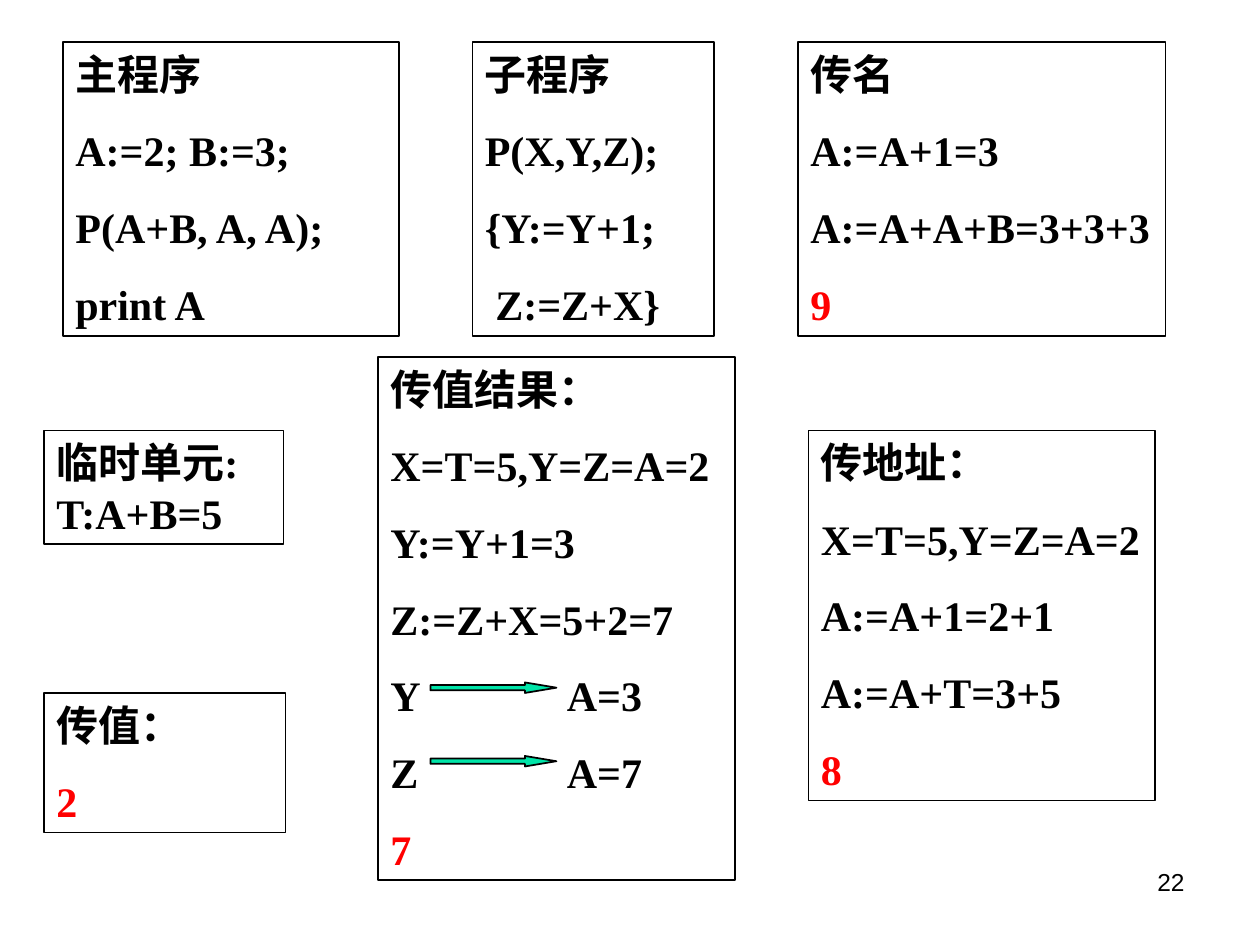
from dataclasses import dataclass

from lxml.etree import SubElement
from pptx import Presentation
from pptx.dml.color import RGBColor
from pptx.enum.shapes import MSO_SHAPE
from pptx.enum.text import MSO_ANCHOR, MSO_AUTO_SIZE, PP_ALIGN
from pptx.oxml.ns import qn
from pptx.shapes.autoshape import Shape
from pptx.slide import Slide
from pptx.text.text import TextFrame
from pptx.util import Inches, Pt

CELL = Inches(1) / 12
COLUMNS, ROWS = 120, 90
COLORS = {"ink": "000000", "answer": "FF0000", "arrow": "00E4A8"}
RESULT_TAB = Inches(1.4)


@dataclass(frozen=True)
class Area:
    """A rectangle in grid cells."""
    column: float
    row: float
    columns: float
    rows: float

    def lengths(self) -> list[int]:
        return [round(value * CELL) for value in
                (self.column, self.row, self.columns, self.rows)]


@dataclass(frozen=True)
class Panel:
    area: Area
    lines: tuple[str, ...]
    answer: str = ""


PANELS = (
    Panel(Area(45, 4, 23, 28), ("子程序", "P(X,Y,Z);", "{Y:=Y+1;", " Z:=Z+X}")),
    Panel(Area(4.2, 66, 23, 13.3), ("传值：",), "2"),
    Panel(Area(77, 41, 33, 35.25),
          ("传地址：", "X=T=5,Y=Z=A=2", "A:=A+1=2+1", "A:=A+T=3+5"), "8"),
    Panel(Area(36, 34, 34, 49.8),
          ("传值结果：", "X=T=5,Y=Z=A=2", "Y:=Y+1=3", "Z:=Z+X=5+2=7",
           "Y\tA=3", "Z\tA=7"), "7"),
    Panel(Area(76, 4, 35, 28), ("传名", "A:=A+1=3", "A:=A+A+B=3+3+3"), "9"),
    Panel(Area(6, 4, 32, 28),
          ("主程序", "A:=2; B:=3;", "P(A+B, A, A);", "print A")),
    Panel(Area(4.2, 41, 22.8, 10.8), ("临时单元: T:A+B=5",)),
)
ARROWS = (Area(41, 65, 12, 1), Area(41, 72, 12, 1))
PAGE_NUMBER = Area(86, 82, 28, 6.2)


def write_line(frame: TextFrame, text: str, *, first: bool = False,
               font: str = "Times New Roman", size: float = 24,
               bold: bool = True, color: str = "ink", space_before: float = 15,
               align: PP_ALIGN = PP_ALIGN.LEFT) -> None:
    paragraph = frame.paragraphs[0] if first else frame.add_paragraph()
    paragraph.alignment = align
    paragraph.space_before = Pt(space_before)
    if "\t" in text:
        tabs = SubElement(paragraph._p.get_or_add_pPr(), qn("a:tabLst"))
        SubElement(tabs, qn("a:tab"), pos=str(RESULT_TAB), algn="l")
    run = paragraph.add_run()
    run.text = text
    run.font.name = font
    run.font.size = Pt(size)
    run.font.bold = bold
    run.font.color.rgb = RGBColor.from_string(COLORS[color])


def add_outlined(slide: Slide, kind: MSO_SHAPE, area: Area) -> Shape:
    shape = slide.shapes.add_shape(kind, *area.lengths())
    shape.shadow.inherit = False
    shape.line.color.rgb = RGBColor.from_string(COLORS["ink"])
    shape.line.width = Pt(1)
    return shape


def add_panel(slide: Slide, panel: Panel) -> None:
    shape = add_outlined(slide, MSO_SHAPE.RECTANGLE, panel.area)
    shape.fill.background()
    frame = shape.text_frame
    frame.word_wrap = True
    frame.auto_size = MSO_AUTO_SIZE.SHAPE_TO_FIT_TEXT
    frame.vertical_anchor = MSO_ANCHOR.TOP
    for index, line in enumerate(panel.lines):
        write_line(frame, line, first=index == 0)
    if panel.answer:
        write_line(frame, panel.answer, color="answer")


def add_arrow(slide: Slide, area: Area) -> None:
    shape = add_outlined(slide, MSO_SHAPE.RIGHT_ARROW, area)
    shape.fill.solid()
    shape.fill.fore_color.rgb = RGBColor.from_string(COLORS["arrow"])
    shape.adjustments[0] = 0.5
    shape.adjustments[1] = 3


def add_page_number(slide: Slide, number: str) -> None:
    frame = slide.shapes.add_textbox(*PAGE_NUMBER.lengths()).text_frame
    frame.word_wrap = True
    write_line(frame, number, first=True, font="Arial", size=14, bold=False,
               space_before=0, align=PP_ALIGN.RIGHT)


def main() -> None:
    presentation = Presentation()
    presentation.slide_width = round(COLUMNS * CELL)
    presentation.slide_height = round(ROWS * CELL)
    slide = presentation.slides.add_slide(presentation.slide_layouts[6])
    add_page_number(slide, "22")
    for panel in PANELS:
        add_panel(slide, panel)
    for arrow in ARROWS:
        add_arrow(slide, arrow)
    presentation.save("out.pptx")


if __name__ == "__main__":
    main()
